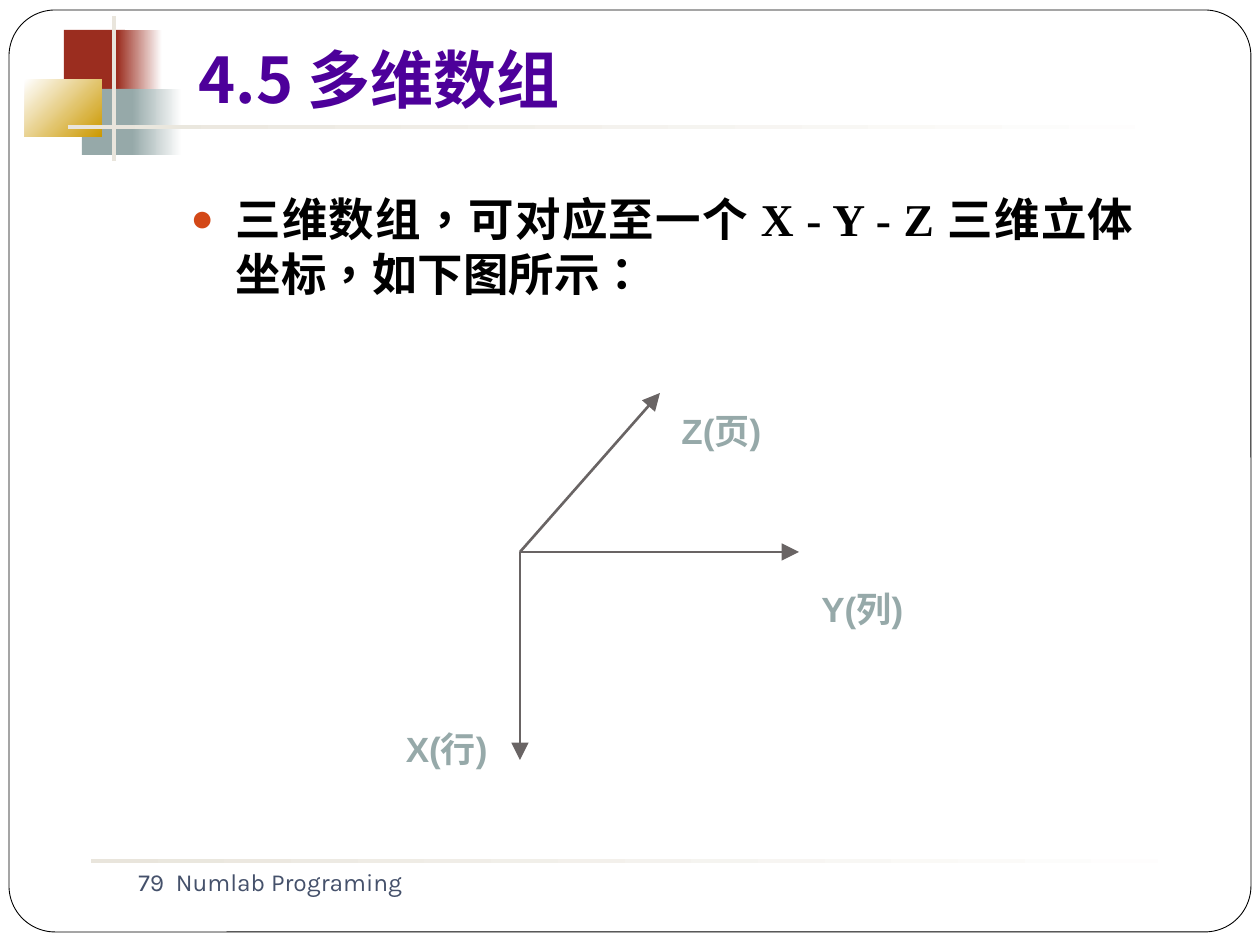
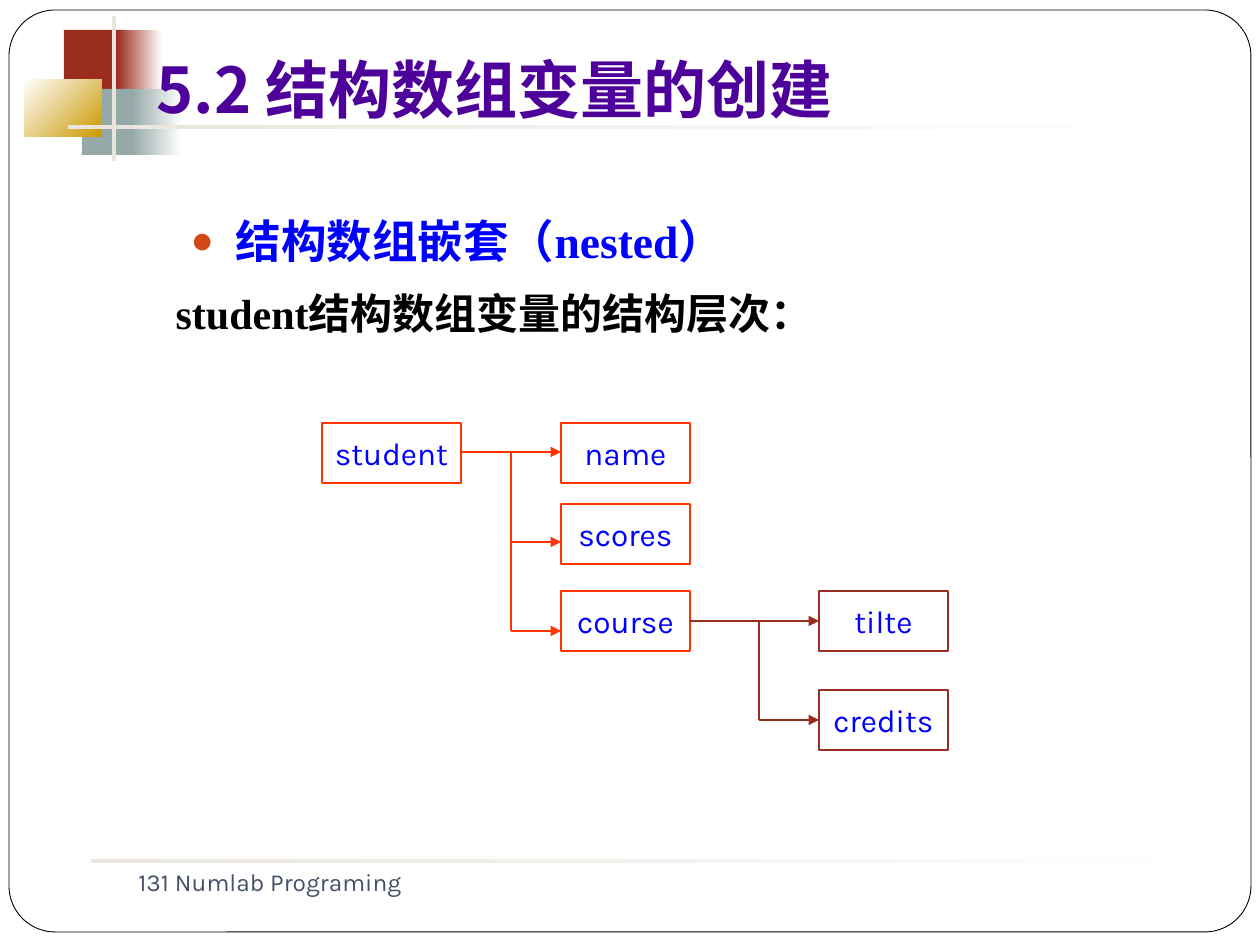
from pptx import Presentation
from pptx.util import Inches, Pt
from pptx.dml.color import RGBColor
from pptx.enum.shapes import MSO_SHAPE as Shape, MSO_CONNECTOR as Conn
from pptx.enum.text import PP_ALIGN as Align, MSO_ANCHOR as Anchor, MSO_AUTO_SIZE as Auto
from pptx.oxml.ns import qn
from lxml.etree import SubElement as Sub

# Colours and fonts
WHITE = RGBColor(0xFF, 0xFF, 0xFF)
BLACK = RGBColor(0x00, 0x00, 0x00)
BRICK = RGBColor(0x9B, 0x2D, 0x1F)
SAGE = RGBColor(0x96, 0xA9, 0xA9)
GOLD = RGBColor(0xCC, 0x99, 0x00)
SAND = RGBColor(0xE9, 0xE5, 0xDC)
GREY = RGBColor(0x69, 0x64, 0x64)
SLATE = RGBColor(0x45, 0x51, 0x6B)
PURPLE = RGBColor(0x4D, 0x00, 0x9A)
BLUE = RGBColor(0x00, 0x00, 0xFF)
RED = RGBColor(0xFF, 0x33, 0x00)
HAN, SERIF = "Noto Sans CJK SC", "Times New Roman"

PX = Inches(1) / 126

# Text formats
HEAD = dict(size=Pt(36), name=HAN, bold=True)
LEAD = dict(size=Pt(26), name=SERIF, bold=True)
SECOND = dict(size=Pt(24), name=SERIF, bold=True)
AXIS = dict(size=Pt(20), name="Arial", bold=True)
NODE = dict(size=Pt(18), name="Karla", bold=False)
FOOT = dict(size=Pt(14), name="Karla", bold=False)


def write(par, text, form, color, lang="zh-CN"):
    run = par.add_run()
    run.text = text
    for key, val in form.items():
        setattr(run.font, key, val)
    run.font.color.rgb = color
    props = run.font._element
    props.set("lang", lang)
    Sub(props, qn("a:ea")).set("typeface", HAN)


def link(slide, ends, color, width, tip="med"):
    line = slide.shapes.add_connector(Conn.STRAIGHT, *[round(v * PX) for v in ends])
    line.line.color.rgb = color
    line.line.width = Pt(width)
    if tip:
        head = Sub(line.line._get_or_add_ln(), qn("a:tailEnd"))
        for key, val in (("type", "triangle"), ("w", tip), ("len", tip)):
            head.set(key, val)
    Sub(line._element.spPr, qn("a:effectLst"))


deck = Presentation()
deck.slide_width, deck.slide_height = Inches(10), Inches(7.5)
plan = deck.slide_layouts[1]
axes = deck.slides.add_slide(plan)
tree = deck.slides.add_slide(plan)

# Shared frame, colour blocks and rules, moved to the layout
decor = [
    (Shape.ROUNDED_RECTANGLE, (9, 10, 1242, 922), [WHITE], 0),
    (Shape.RECTANGLE, (64, 30, 61, 66), [BRICK], 0),
    (Shape.RECTANGLE, (117, 30, 45, 66), [BRICK, WHITE], 0),
    (Shape.RECTANGLE, (82, 89, 58, 66), [SAGE], 0),
    (Shape.RECTANGLE, (132, 89, 50, 66), [SAGE, WHITE], 0),
    (Shape.RECTANGLE, (25, 79, 77, 58), [WHITE, GOLD], 45),
    (Shape.RECTANGLE, (112, 16, 4, 145), [SAND], 0),
    (Shape.RECTANGLE, (68, 125, 1134, 4), [SAND, WHITE], 0),
    (Shape.RECTANGLE, (91, 859, 1134, 4), [SAND, WHITE], 0),
]
for kind, area, tints, turn in decor:
    part = axes.shapes.add_shape(kind, *[round(v * PX) for v in area])
    part.shadow.inherit = False
    if len(tints) == 1:
        part.fill.solid()
        part.fill.fore_color.rgb = tints[0]
    else:
        part.fill.gradient()
        part.fill.gradient_angle = -turn % 360
        for stop, tint in zip(part.fill.gradient_stops, tints):
            stop.color.rgb = tint
    if kind == Shape.ROUNDED_RECTANGLE:
        part.adjustments[0] = 0.05
        part.line.color.rgb = BLACK
        part.line.width = Pt(0.5)
    else:
        part.line.fill.background()
    plan.shapes._spTree.append(part._element)

# Titles, bulleted lead lines and footers
pages = [
    (axes, (186, 40, 1074, 89), [("4.5 多维数组", HAN)],
     (163, 185, 983, 660), "三维数组，可对应至一个 X - Y - Z 三维立体坐标，如下图所示：",
     BLACK, "zh-TW", 1, "79  Numlab Programing"),
    (tree, (144, 50, 1074, 89), [("5.2 ", HAN), ("结构数组变量的创建", SERIF)],
     (163, 185, 1071, 200), "结构数组嵌套（nested）",
     BLUE, "zh-CN", 1.4, "131 Numlab Programing"),
]
for slide, top, runs, area, lead, color, lang, gap, foot in pages:
    title, body = slide.placeholders
    note = slide.shapes.add_textbox(*[round(v * PX) for v in (126, 850, 546, 63)])
    for item, spot in ((title, top), (body, area)):
        item.left, item.top, item.width, item.height = [round(v * PX) for v in spot]
        item.text_frame.auto_size = Auto.NONE
    title.text_frame.vertical_anchor = Anchor.BOTTOM
    title.text_frame.margin_bottom = Inches(0.1)
    par = title.text_frame.paragraphs[0]
    par.alignment = Align.LEFT
    for text, face in runs:
        write(par, text, {**HEAD, "name": face}, PURPLE)

    par = body.text_frame.paragraphs[0]
    par.alignment = Align.JUSTIFY
    par.line_spacing = gap
    par.space_before = Pt(0)
    props = par._p.get_or_add_pPr()
    props.set("marL", str(round(60 * PX)))
    props.set("indent", str(-round(45 * PX)))
    Sub(Sub(props, qn("a:buClr")), qn("a:srgbClr")).set("val", "D34817")
    Sub(props, qn("a:buSzPct")).set("val", "85000")
    Sub(props, qn("a:buChar")).set("char", "●")
    write(par, lead, LEAD, color, lang)

    note.text_frame.word_wrap = True
    note.text_frame.vertical_anchor = Anchor.MIDDLE
    write(note.text_frame.paragraphs[0], foot, FOOT, SLATE)

# Second line of the structure slide
par = tree.placeholders[1].text_frame.add_paragraph()
par.alignment = Align.JUSTIFY
par.line_spacing = 1.4
par.space_before = Pt(0)
props = par._p.get_or_add_pPr()
props.set("marL", "0")
props.set("indent", "0")
Sub(props, qn("a:buNone"))
write(par, "student结构数组变量的结构层次：", SECOND, BLACK)

# Three axes from one origin, with labels
for tip, spot, text, side in [
    ((660, 393), (669, 403), "Z(页)", Align.LEFT),
    ((799, 552), (809, 581), "Y(列)", Align.LEFT),
    ((520, 760), (353, 721), "X(行)", Align.RIGHT),
]:
    link(axes, (520, 552, *tip), GREY, 1.5, "lg")
    label = axes.shapes.add_textbox(*[round(v * PX) for v in (*spot, 147, 54)])
    label.text_frame.word_wrap = True
    par = label.text_frame.paragraphs[0]
    par.alignment = side
    write(par, text, AXIS, SAGE)

# Structure boxes
for text, x, y, wide, color in [
    ("student", 322, 423, 139, RED),
    ("name", 561, 423, 129, RED),
    ("scores", 561, 504, 129, RED),
    ("course", 561, 591, 129, RED),
    ("tilte", 819, 591, 129, BRICK),
    ("credits", 819, 690, 129, BRICK),
]:
    node = tree.shapes.add_shape(Shape.RECTANGLE, *[round(v * PX) for v in (x, y, wide, 60)])
    node.shadow.inherit = False
    node.fill.background()
    node.line.color.rgb = color
    node.line.width = Pt(0.75)
    node.text_frame.word_wrap = False
    node.text_frame.vertical_anchor = Anchor.MIDDLE
    par = node.text_frame.paragraphs[0]
    par.alignment = Align.CENTER
    write(par, text, NODE, BLUE)

# Branches: a trunk with one arrow per child
for start, trunk, end, rows, color in [
    (461, 511, 561, (452, 542, 631), RED),
    (690, 759, 819, (621, 720), BRICK),
]:
    link(tree, (trunk, rows[0], trunk, rows[-1]), color, 0.75, None)
    for row in rows:
        link(tree, (start if row == rows[0] else trunk, row, end, row), color, 0.75)

deck.save("out.pptx")
